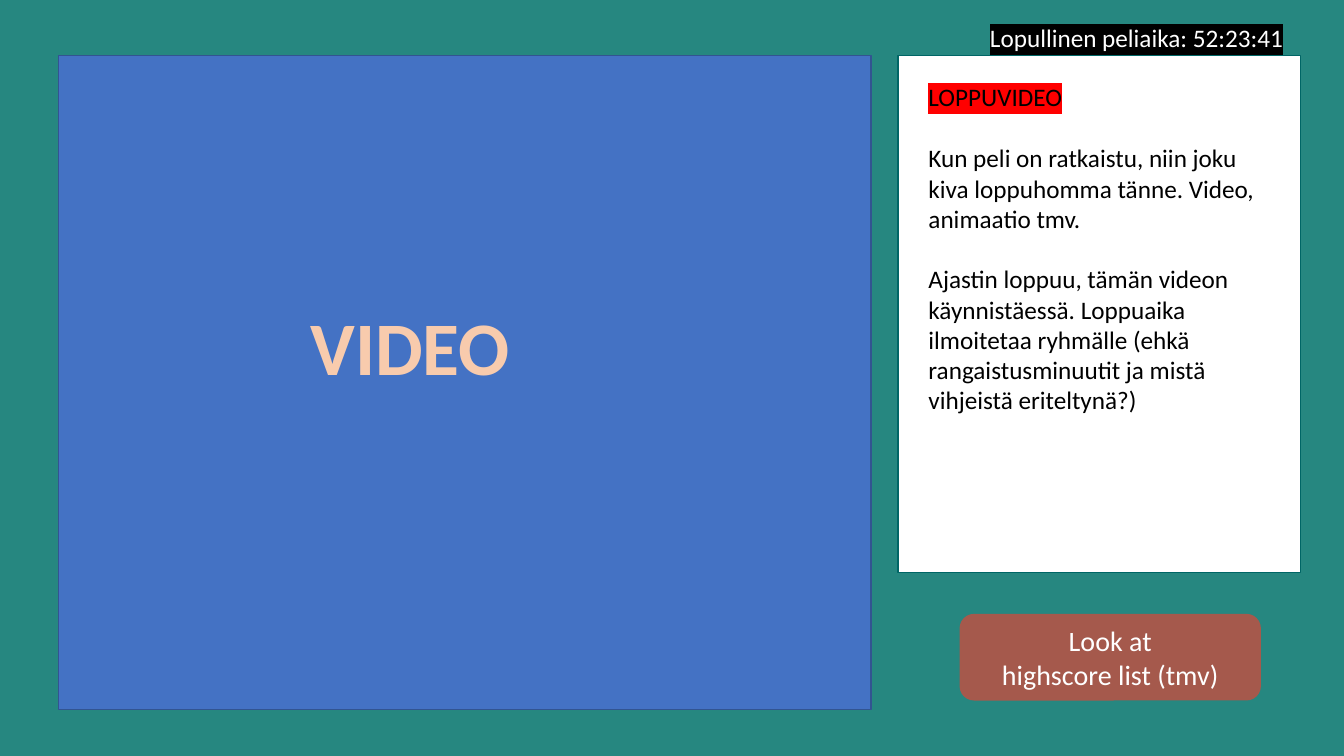
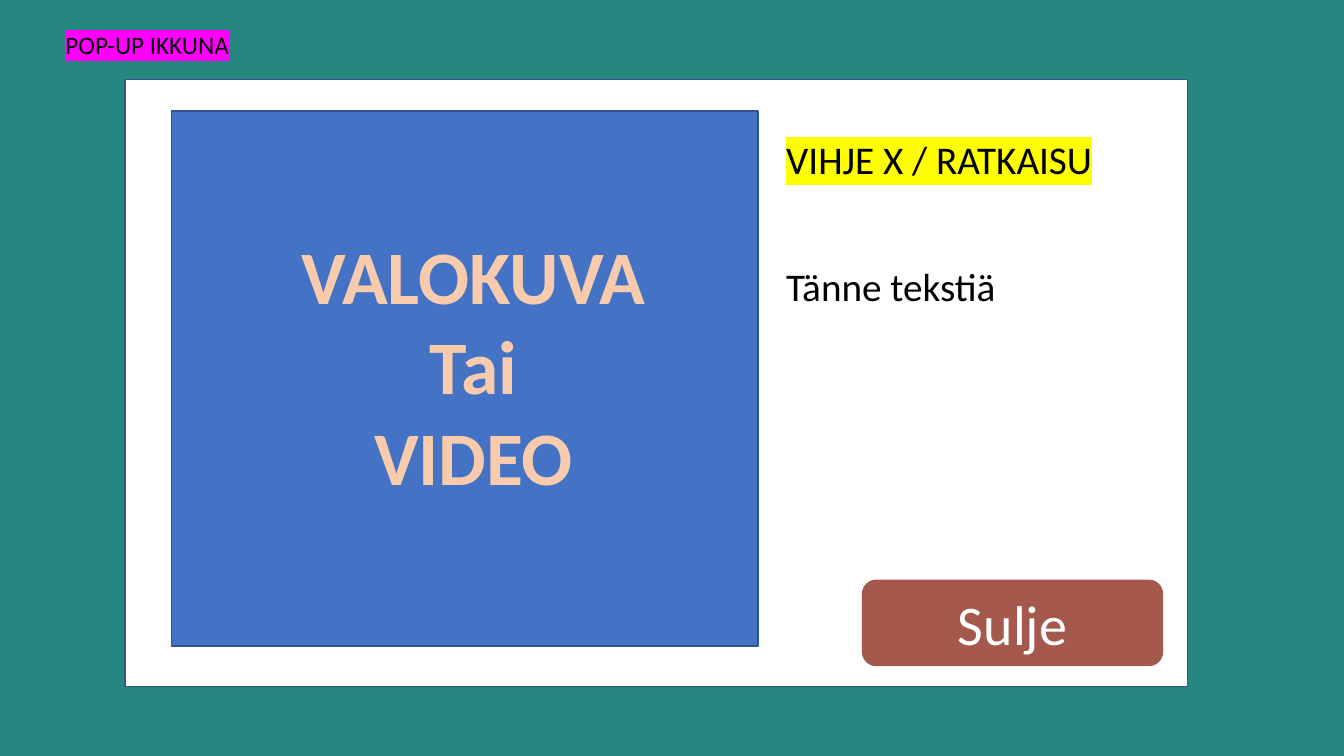
from lxml.etree import SubElement as Sub
from pptx import Presentation
from pptx.dml.color import RGBColor as RGB
from pptx.enum.shapes import MSO_SHAPE as Kind
from pptx.enum.text import MSO_ANCHOR as Anchor, MSO_AUTO_SIZE as Fit, PP_ALIGN as Align
from pptx.oxml.ns import qn
from pptx.util import Pt

TEAL = RGB(0x26, 0x87, 0x80)
PINE = RGB(0x00, 0x66, 0x66)
BLUE = RGB(0x44, 0x72, 0xC4)
NAVY = RGB(0x32, 0x54, 0x91)
RUST = RGB(0xA5, 0x59, 0x4C)
PEACH = RGB(0xF8, 0xCB, 0xAD)
ORANGE = RGB(0xED, 0x7D, 0x31)
WHITE = RGB(0xFF, 0xFF, 0xFF)
BLACK = RGB(0x00, 0x00, 0x00)
RED = RGB(0xFF, 0x00, 0x00)
YELLOW = RGB(0xFF, 0xFF, 0x00)
PINK = RGB(0xFF, 0x00, 0xFF)
FONT = "Calibri"


class Deck:
    """Holds the shared style and the current slide."""

    def __init__(self):
        self.file = Presentation()
        self.file.slide_width, self.file.slide_height = Pt(960), Pt(540)
        back = self.file.slide_master.background.fill
        back.solid()
        back.fore_color.rgb = TEAL

    def page(self):
        """Starts a slide with a title and a body."""
        self.slide = self.file.slides.add_slide(self.file.slide_layouts[1])

    def style(self, shape, size, color=BLACK, align=Align.LEFT, mark=None,
              bold=False, edge=None, gap=0, anchor=Anchor.TOP):
        """Formats all text of a shape."""
        frame = shape.text_frame
        frame.word_wrap = True
        frame.auto_size = Fit.NONE
        frame.vertical_anchor = anchor
        for i, para in enumerate(frame.paragraphs):
            para.alignment = align
            para.line_spacing = 1.0
            para.space_before = Pt(gap if i else 0)
            for run in para.runs:
                font = run.font
                font.name, font.size, font.bold = FONT, Pt(size), bold
                font.color.rgb = color
                props = run._r.get_or_add_rPr()
                if mark is not None:
                    light = Sub(props, qn("a:highlight"))
                    Sub(light, qn("a:srgbClr"), val=str(mark))
                    props.find(qn("a:solidFill")).addnext(light)
                if edge is not None:
                    line = Sub(props, qn("a:ln"), w=str(Pt(1.75)))
                    fill = Sub(line, qn("a:solidFill"))
                    Sub(fill, qn("a:srgbClr"), val=str(edge))
                    props.insert(0, line)

    def block(self, box, fill, line=None, kind=Kind.RECTANGLE):
        """Draws a filled shape."""
        shape = self.slide.shapes.add_shape(kind, *map(Pt, box))
        shape.shadow.inherit = False
        shape.fill.solid()
        shape.fill.fore_color.rgb = fill
        if line is None:
            shape.line.fill.background()
        else:
            shape.line.color.rgb = line
            shape.line.width = Pt(1)
        return shape

    def button(self, left, top, text, size):
        """Draws a rounded button."""
        shape = self.block((left, top, 215.3, 61.9), RUST, kind=Kind.ROUNDED_RECTANGLE)
        shape.text_frame.text = text
        self.style(shape, size, WHITE, Align.CENTER, anchor=Anchor.MIDDLE)

    def label(self, box, text, size, **look):
        """Adds a text box."""
        shape = self.slide.shapes.add_textbox(*map(Pt, box))
        shape.text_frame.text = text
        self.style(shape, size, **look)

    def banner(self, box, text):
        """Adds the large outlined words of a media area."""
        self.label(box, text, 54, color=PEACH, align=Align.CENTER, bold=True, edge=ORANGE)

    def holder(self, shape, box, text, size, **look):
        """Fills a placeholder and brings it to the front."""
        shape.left, shape.top, shape.width, shape.height = map(Pt, box)
        shape.text_frame.text = text
        self.style(shape, size, **look)
        shape.element.getparent().append(shape.element)

    def title(self, box, text, size, mark):
        """Sets the highlighted title."""
        self.holder(self.slide.shapes.title, box, text, size, mark=mark)

    def body(self, box, text, size, gap=0):
        """Sets the body text without bullets."""
        shape = self.slide.placeholders[1]
        self.holder(shape, box, text, size, gap=gap)
        for para in shape.text_frame.paragraphs:
            props = para._p.get_or_add_pPr()
            props.set("marL", "0")
            props.set("indent", "0")
            Sub(props, qn("a:buNone"))


def ending(deck):
    """Builds the closing video slide."""
    deck.page()
    deck.block((41.8, 39.6, 580.3, 467.3), BLUE, NAVY)
    deck.block((641.5, 39.6, 287.3, 369.4), WHITE, PINE)
    deck.banner((193, 211, 200, 73), "VIDEO")
    deck.title((656, 54.7, 252, 30), "LOPPUVIDEO", 18, RED)
    deck.body((656, 98.4, 252, 210),
              "Kun peli on ratkaistu, niin joku kiva loppuhomma tänne. "
              "Video, animaatio tmv.\n"
              "Ajastin loppuu, tämän videon käynnistäessä. Loppuaika ilmoitetaa "
              "ryhmälle (ehkä rangaistusminuutit ja mistä vihjeistä eriteltynä?)",
              18, gap=21.6)
    deck.button(685.4, 438.5, "Look at\vhighscore list (tmv)", 20)
    deck.label((642.2, 12.6, 281.5, 29), "Lopullinen peliaika: 52:23:41", 18,
               color=WHITE, align=Align.RIGHT, mark=BLACK)


def popup(deck):
    """Builds the hint window slide."""
    deck.page()
    deck.block((89.3, 56.9, 758.9, 433.4), WHITE, NAVY)
    deck.title((554.4, 92.8, 277, 42), "VIHJE X / RATKAISU", 28, YELLOW)
    deck.body((554.4, 184, 277, 200), "Tänne tekstiä", 28)
    deck.button(615.6, 414, "Sulje", 40)
    deck.label((39.6, 17.3, 173.5, 29), "POP-UP IKKUNA", 18, mark=PINK)
    deck.block((122.4, 79.2, 419, 382.3), BLUE, NAVY)
    deck.banner((188.6, 159.8, 299.5, 203.8), "VALOKUVA\nTai\nVIDEO")


def main():
    """Builds and saves the slides."""
    deck = Deck()
    ending(deck)
    popup(deck)
    deck.file.save("out.pptx")


if __name__ == "__main__":
    main()
